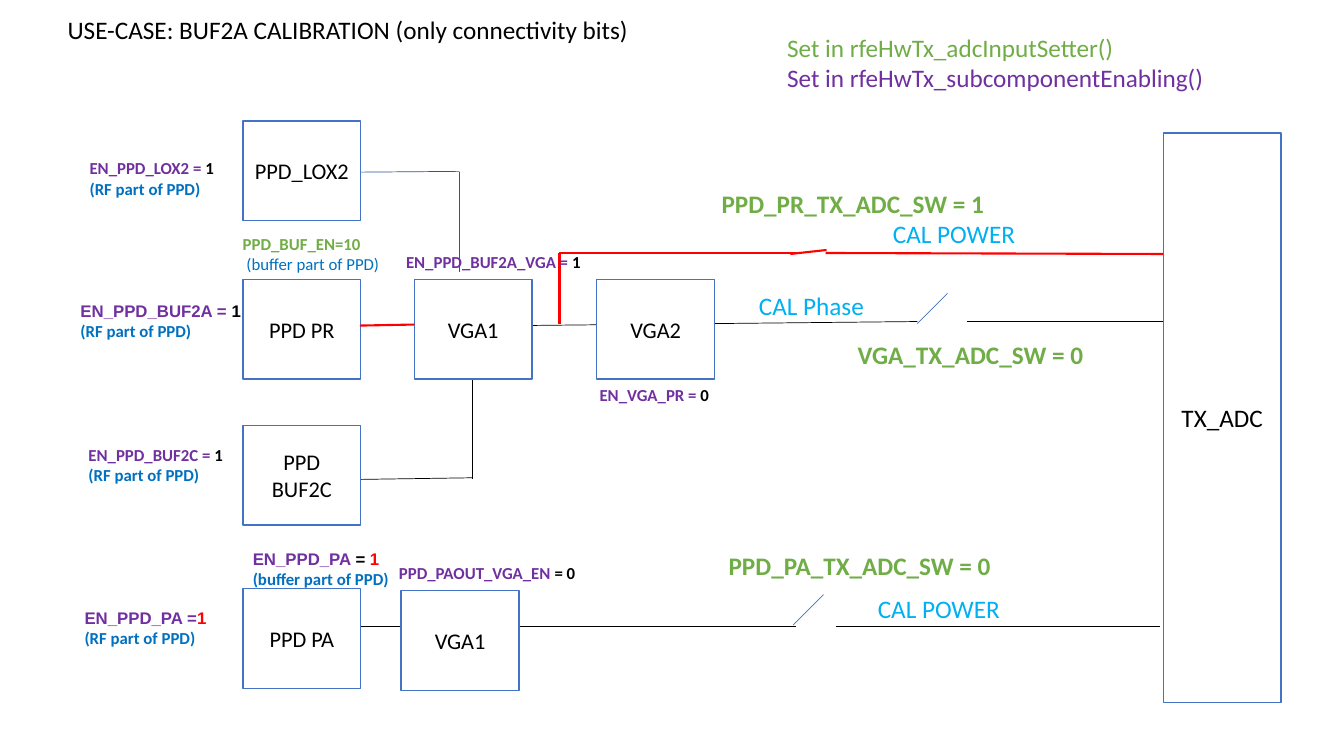
import pptx
import pptx.dml.color
import pptx.enum.shapes
import pptx.enum.text
import pptx.oxml
import pptx.util
from dataclasses import dataclass


@dataclass(frozen=True)
class Theme:
    font: str = "Calibri"
    signal_font: str = "Arial"
    black: str = "000000"
    white: str = "FFFFFF"
    outline: str = "4472C4"
    wire_blue: str = "2F5597"
    active: str = "FF0000"
    setter: str = "70AD47"
    enabling: str = "7030A0"
    section: str = "0070C0"
    calibration: str = "00B0F0"
    large: int = 18
    medium: int = 16
    small: int = 12
    thin: float = 0.5
    border: float = 1
    thick: float = 1.5


THEME = Theme()

# Grid of square cells, ten to the inch
CELL = pptx.util.Inches(0.1)
SLIDE_COLUMNS, SLIDE_ROWS = 133.33, 75
BLOCK_COLUMNS, BLOCK_ROWS = 11.7, 9.9
DETECTOR_COLUMN = 24.1
VGA_ROW = 27.7
PA_WIRE_ROW = 62.1
BYPASS_ROW = 25.1
ADC_COLUMN = 115.4


def cells(*counts):
    return [pptx.util.Emu(round(count * CELL)) for count in counts]


def rgb(color):
    return pptx.dml.color.RGBColor.from_string(color)


def place(shape, *box):
    shape.left, shape.top, shape.width, shape.height = cells(*box)


def write(paragraph, text, *, size=THEME.small, color=THEME.black,
          bold=False, font=THEME.font):
    """Add one formatted run to a paragraph."""
    run = paragraph.add_run()
    run.text = text
    run.font.name, run.font.size = font, pptx.util.Pt(size)
    run.font.bold, run.font.color.rgb = bold, rgb(color)


def add_label(slide, box, *lines, wrap=False):
    """Each line is a list of (text, format) runs."""
    label = slide.shapes.add_textbox(*cells(*box))
    frame = label.text_frame
    frame.word_wrap = wrap
    frame.auto_size = pptx.enum.text.MSO_AUTO_SIZE.SHAPE_TO_FIT_TEXT
    for index, line in enumerate(lines):
        paragraph = frame.add_paragraph() if index else frame.paragraphs[0]
        for text, style in line:
            write(paragraph, text, **style)


def add_heading(slide, column, row, columns, text, color, bold=False, wrap=False):
    style = dict(size=THEME.large, color=color, bold=bold)
    add_label(slide, (column, row, columns, 4), [(text, style)], wrap=wrap)


def add_signal(slide, box, name, value, *, section=None, font=THEME.font,
               equals="", value_color=THEME.black):
    """Label an enable bit, its value and the section it belongs to."""
    runs = [(name, dict(color=THEME.enabling, bold=True, font=font))]
    if equals:
        runs.append((equals, dict(bold=True, font=font)))
    runs.append((value, dict(color=value_color, bold=True, font=font)))
    lines = [runs]
    if section:
        lines.append([(f"({section} part of PPD)",
                       dict(color=THEME.section, bold=True))])
    add_label(slide, box, *lines)


def add_block(slide, column, row, text, *, rows=BLOCK_ROWS, size=THEME.medium):
    block = slide.shapes.add_shape(pptx.enum.shapes.MSO_SHAPE.RECTANGLE,
                                   *cells(column, row, BLOCK_COLUMNS, rows))
    block.shadow.inherit = False
    block.fill.solid()
    block.fill.fore_color.rgb = rgb(THEME.white)
    block.line.color.rgb = rgb(THEME.outline)
    block.line.width = pptx.util.Pt(THEME.border)
    frame = block.text_frame
    frame.word_wrap = True
    frame.vertical_anchor = pptx.enum.text.MSO_ANCHOR.MIDDLE
    frame.paragraphs[0].alignment = pptx.enum.text.PP_ALIGN.CENTER
    write(frame.paragraphs[0], text, size=size)


def add_wire(slide, *ends, color=THEME.black, width=THEME.thin):
    wire = slide.shapes.add_connector(pptx.enum.shapes.MSO_CONNECTOR.STRAIGHT,
                                      *cells(*ends))
    wire.line.color.rgb = rgb(color)
    wire.line.width = pptx.util.Pt(width)
    properties = wire._element.spPr
    properties.append(pptx.oxml.parse_xml(
        '<a:effectLst xmlns:a="http://schemas.openxmlformats.org/drawingml/2006/main"/>'))


def add_title(slide, text):
    title = slide.shapes.title
    place(title, 5.7, 0.9, 58.2, 4)
    frame = title.text_frame
    frame.word_wrap = False
    frame.auto_size = pptx.enum.text.MSO_AUTO_SIZE.NONE
    frame.vertical_anchor = pptx.enum.text.MSO_ANCHOR.TOP
    frame.paragraphs[0].alignment = pptx.enum.text.PP_ALIGN.LEFT
    write(frame.paragraphs[0], text, size=THEME.large)


def add_wires(slide):
    # Detector outputs, VGA chain and PA path
    for ends in ((33.1, 47.6, 46.9, 47.4), (46.9, 37.6, 46.9, 47.5),
                 (51.5, 32.3, 91, 31.9), (95.9, 31.9, ADC_COLUMN, 31.9),
                 (35.8, PA_WIRE_ROW, 79, PA_WIRE_ROW),
                 (82.9, PA_WIRE_ROW, 115.1, PA_WIRE_ROW)):
        add_wire(slide, *ends)
    for ends in ((33.1, 17.1, 45.6, 17), (45.6, 17.1, 45.6, 27)):
        add_wire(slide, *ends, color=THEME.wire_blue)
    # Open switches
    for column, row in ((91, 32.1), (78.7, 62)):
        add_wire(slide, column, row, column + 3, row - 3, color=THEME.outline)


def add_blocks(slide):
    for row, text in ((12, "PPD_LOX2"), (VGA_ROW, "PPD PR"),
                      (42.2, "PPD BUF2C"), (58.4, "PPD PA")):
        add_block(slide, DETECTOR_COLUMN, row, text)
    for column, row, text in ((41.1, VGA_ROW, "VGA1"), (59.2, VGA_ROW, "VGA2"),
                              (39.8, 58.6, "VGA1")):
        add_block(slide, column, row, text)
    add_block(slide, ADC_COLUMN, 13.2, "TX_ADC", rows=56.5, size=THEME.large)


def add_active_path(slide):
    for ends in ((35.7, 32.3, 41.1, 32.2), (55.5, 32.1, 55.5, BYPASS_ROW),
                 (55.5, BYPASS_ROW, 79, BYPASS_ROW), (78.4, 25.2, 82, 24.8),
                 (81.9, BYPASS_ROW, ADC_COLUMN, 25.2)):
        add_wire(slide, *ends, color=THEME.active, width=THEME.thick)


def add_signals(slide):
    arial = THEME.signal_font
    add_signal(slide, (7.9, 15.2, 14.5, 5), "EN_PPD_LOX2 = ", "1", section="RF")
    add_signal(slide, (7, 29.3, 18.1, 5), "EN_PPD_BUF2A = ", "1", section="RF", font=arial)
    add_signal(slide, (7.8, 43.6, 15.4, 5), "EN_PPD_BUF2C = ", "1", section="RF")
    add_signal(slide, (7.4, 59.8, 14.2, 5), "EN_PPD_PA =", "1", section="RF",
               font=arial, value_color=THEME.active)
    add_signal(slide, (24.1, 53.9, 15.7, 5), "EN_PPD_PA ", "1", section="buffer",
               font=arial, equals="= ", value_color=THEME.active)
    add_signal(slide, (39.3, 24.5, 19.6, 3), "EN_PPD_BUF2A_VGA = ", "1")
    add_signal(slide, (38.6, 55.3, 19.7, 3), "PPD_PAOUT_VGA_EN ", "= 0")
    add_signal(slide, (58.5, 37.7, 13, 3), "EN_VGA_PR = ", "0")
    add_label(slide, (23.1, 22.7, 15.7, 5),
              [("PPD_BUF_EN=10", dict(color=THEME.setter, bold=True))],
              [(" (buffer part of PPD)", dict(color=THEME.section))])


def add_headings(slide):
    # Switch settings
    add_heading(slide, 70.6, 18.2, 28.4, "PPD_PR_TX_ADC_SW = 1", THEME.setter, bold=True)
    add_heading(slide, 84.1, 33.2, 24.5, "VGA_TX_ADC_SW = 0", THEME.setter,
                bold=True, wrap=True)
    add_heading(slide, 71.3, 54.1, 30.6, "PPD_PA_TX_ADC_SW = 0", THEME.setter,
                bold=True, wrap=True)
    # Calibration paths
    for column, row, columns, text in ((87.6, 21.2, 14.2, "CAL POWER"),
                                       (74.3, 28.3, 13.1, "CAL Phase"),
                                       (86.1, 58.4, 14.2, "CAL POWER")):
        add_heading(slide, column, row, columns, text, THEME.calibration)
    # Colour key
    add_label(slide, (77.1, 2.7, 50.5, 7.1),
              [("Set in rfeHwTx_adcInputSetter()",
                dict(size=THEME.large, color=THEME.setter))],
              [("Set in rfeHwTx_subcomponentEnabling()",
                dict(size=THEME.large, color=THEME.enabling))], wrap=True)


def main():
    presentation = pptx.Presentation()
    presentation.slide_width, presentation.slide_height = cells(SLIDE_COLUMNS, SLIDE_ROWS)
    slide = presentation.slides.add_slide(presentation.slide_layouts.get_by_name("Title Only"))
    add_title(slide, "USE-CASE: BUF2A CALIBRATION (only connectivity bits)")
    add_wires(slide)
    add_blocks(slide)
    add_active_path(slide)
    add_signals(slide)
    add_headings(slide)
    presentation.save("out.pptx")


if __name__ == "__main__":
    main()
